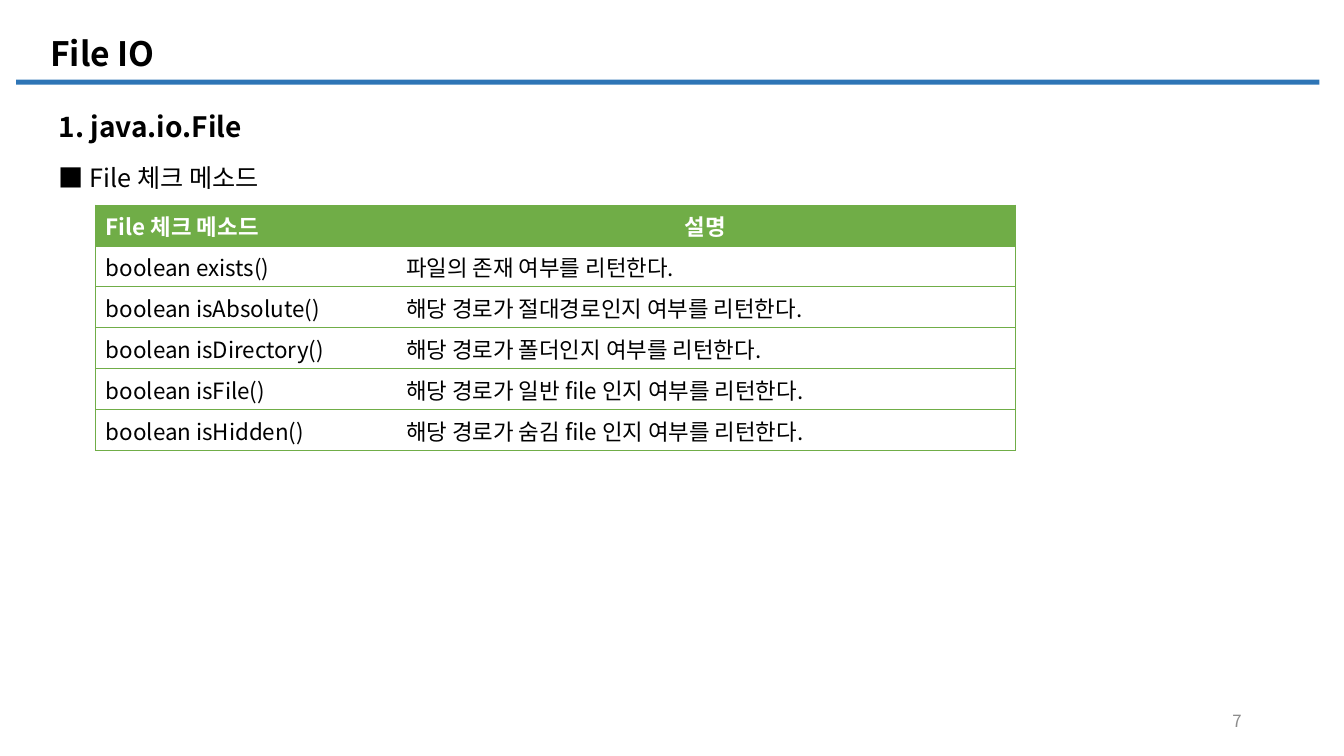
from lxml.etree import SubElement
from pptx import Presentation
from pptx.dml.color import RGBColor
from pptx.enum.shapes import MSO_SHAPE
from pptx.enum.text import MSO_ANCHOR, PP_ALIGN
from pptx.oxml.ns import qn
from pptx.util import Pt

FONT = "Noto Sans CJK KR"
COLORS = {
    "text": "000000",
    "header_text": "FFFFFF",
    "table": "70AD47",
    "rule": "2E75B6",
    "number": "8C8C8C",
}
HEADERS = ("File 체크 메소드", "설명")
METHODS = (
    ("boolean exists()", "파일의 존재 여부를 리턴한다."),
    ("boolean isAbsolute()", "해당 경로가 절대경로인지 여부를 리턴한다."),
    ("boolean isDirectory()", "해당 경로가 폴더인지 여부를 리턴한다."),
    ("boolean isFile()", "해당 경로가 일반 file 인지 여부를 리턴한다."),
    ("boolean isHidden()", "해당 경로가 숨김 file 인지 여부를 리턴한다."),
)
COLUMN_WIDTHS = (214.5, 442)
ROW_HEIGHT = 29.2


def color(name):
    return RGBColor.from_string(COLORS[name])


def write(frame, text, size=16, bold=False, ink="text", align=PP_ALIGN.LEFT):
    para = frame.paragraphs[0]
    para.alignment = align
    span = para.add_run()
    span.text = text
    span.font.size = Pt(size)
    span.font.bold = bold
    span.font.color.rgb = color(ink)
    span.font.name = FONT
    SubElement(span.font._element, qn("a:ea"), typeface=FONT)


def add_text(page, text, left, top, width, height, anchor=MSO_ANCHOR.TOP, **style):
    box = page.shapes.add_textbox(Pt(left), Pt(top), Pt(width), Pt(height))
    box.text_frame.word_wrap = True
    box.text_frame.vertical_anchor = anchor
    write(box.text_frame, text, **style)


def add_rule(page, left, top, width, height):
    rule = page.shapes.add_shape(
        MSO_SHAPE.RECTANGLE, Pt(left), Pt(top), Pt(width), Pt(height)
    )
    rule.shadow.inherit = False
    rule.fill.solid()
    rule.fill.fore_color.rgb = color("rule")
    rule.line.fill.background()


def set_borders(cell, hidden_side):
    properties = cell._tc.get_or_add_tcPr()
    for side in ("lnL", "lnR", "lnT", "lnB"):
        line = SubElement(properties, qn(f"a:{side}"), w=str(Pt(0.5)))
        if side == hidden_side:
            SubElement(line, qn("a:noFill"))
        else:
            fill = SubElement(line, qn("a:solidFill"))
            SubElement(fill, qn("a:srgbClr"), val=COLORS["table"])


def add_method_table(page, left, top):
    rows = (HEADERS, *METHODS)
    table = page.shapes.add_table(
        len(rows), len(HEADERS), Pt(left), Pt(top),
        Pt(sum(COLUMN_WIDTHS)), Pt(ROW_HEIGHT * len(rows)),
    ).table
    table.horz_banding = False
    for column, width in zip(table.columns, COLUMN_WIDTHS):
        column.width = Pt(width)
    for row_index, texts in enumerate(rows):
        table.rows[row_index].height = Pt(ROW_HEIGHT)
        for column_index, text in enumerate(texts):
            cell = table.cell(row_index, column_index)
            set_borders(cell, "lnL" if column_index else "lnR")
            if row_index:
                cell.fill.background()
                write(cell.text_frame, text)
            else:
                cell.fill.solid()
                cell.fill.fore_color.rgb = color("table")
                align = PP_ALIGN.CENTER if column_index else PP_ALIGN.LEFT
                write(cell.text_frame, text, bold=True, ink="header_text", align=align)


def main():
    deck = Presentation()
    deck.slide_width, deck.slide_height = Pt(960), Pt(540)
    page = deck.slides.add_slide(deck.slide_layouts[6])
    add_text(page, "7", 678, 500.5, 216, 28.75, anchor=MSO_ANCHOR.MIDDLE,
             size=12, ink="number", align=PP_ALIGN.RIGHT)
    add_text(page, "■ File 체크 메소드", 34.8, 112.2, 790, 29, size=18)
    add_text(page, "1. java.io.File", 34.8, 74.8, 232, 31.5, size=20, bold=True)
    add_method_table(page, 68.4, 146.4)
    add_rule(page, 11.5, 56.9, 931, 3.6)
    add_text(page, "File IO", 28.8, 18.7, 685.5, 38.2, anchor=MSO_ANCHOR.MIDDLE,
             size=24, bold=True)
    deck.save("out.pptx")


if __name__ == "__main__":
    main()
